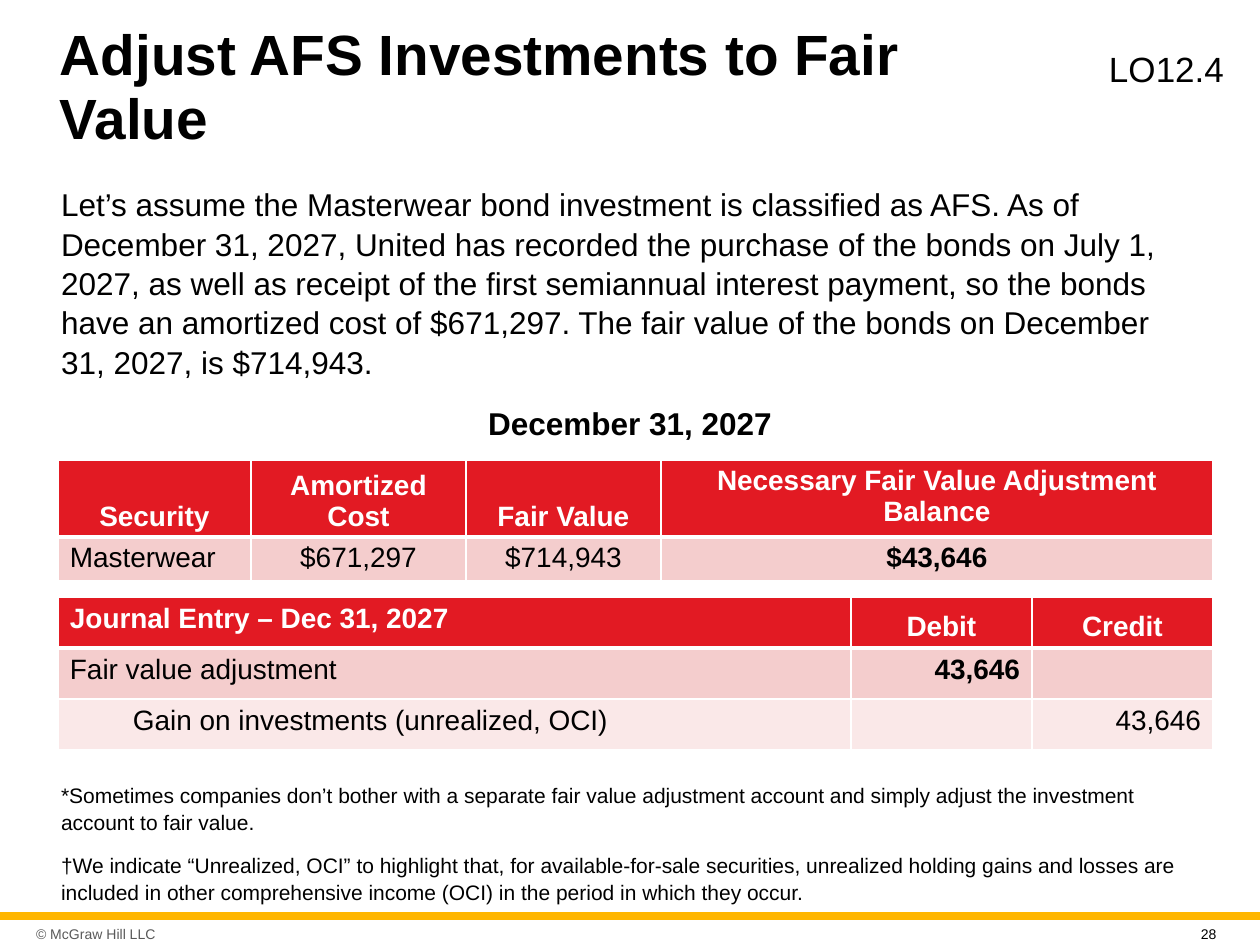
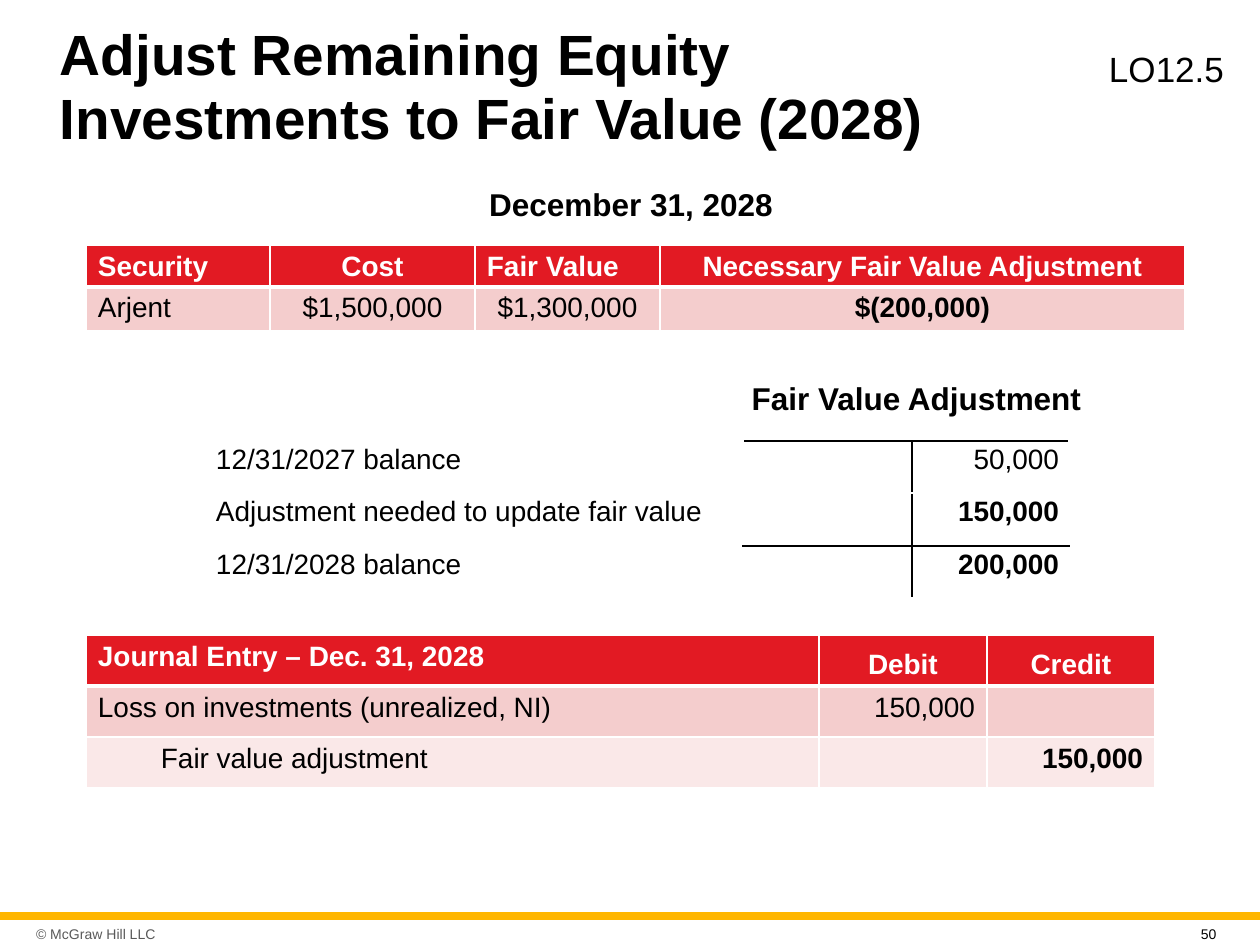
from lxml.etree import SubElement
from pptx import Presentation
from pptx.dml.color import RGBColor
from pptx.enum.shapes import MSO_SHAPE
from pptx.enum.text import MSO_ANCHOR, MSO_AUTO_SIZE, PP_ALIGN
from pptx.oxml.ns import qn
from pptx.util import Emu, Pt

PX = 914400 / 126
COLORS = {
    "text": "000000", "gray": "595959", "white": "FFFFFF", "gold": "FFB600",
    "red": "E21A23", "rose": "F4CDCD", "blush": "FAE8E8",
}
LEFT, CENTER, RIGHT = PP_ALIGN.LEFT, PP_ALIGN.CENTER, PP_ALIGN.RIGHT
TOP, MIDDLE, BOTTOM = MSO_ANCHOR.TOP, MSO_ANCHOR.MIDDLE, MSO_ANCHOR.BOTTOM
INDENT = 63


def write(frame, lines, size, bold=False, color="text", align=LEFT, spacing=1.0, indent=0):
    """Fill a text frame with one plain, unbulleted paragraph per line."""
    for number, line in enumerate(lines):
        paragraph = frame.paragraphs[0] if number == 0 else frame.add_paragraph()
        properties = paragraph._p.get_or_add_pPr()
        properties.set("marL", str(round(indent * PX)))
        properties.set("indent", "0")
        SubElement(properties, qn("a:buNone"))
        paragraph_format = {
            "alignment": align, "line_spacing": spacing,
            "space_before": Pt(10 if number else 0),
        }
        for name, value in paragraph_format.items():
            setattr(paragraph, name, value)
        run = paragraph.add_run()
        run.text = line
        for name, value in {"name": "Arial", "size": Pt(size), "bold": bold}.items():
            setattr(run.font, name, value)
        run.font.color.rgb = RGBColor.from_string(COLORS[color])


def add_grid(slide, left, top, widths, heights, rows, fills, pads, ruled_account=False):
    """Add a table; a cell is (text, align, bold, anchor, indent), the last three optional."""
    box = [Emu(round(n * PX)) for n in (left, top, sum(widths), sum(heights))]
    table = slide.shapes.add_table(len(rows), len(widths), *box).table
    table.first_row = table.horz_banding = False
    for column, width in zip(table.columns, widths):
        column.width = Emu(round(width * PX))
    for r, (row, height, fill) in enumerate(zip(rows, heights, fills)):
        table.rows[r].height = Emu(round(height * PX))
        for c, (text, align, bold, anchor, indent) in enumerate(
                (*entry, *(False, TOP, 0)[len(entry) - 2:]) for entry in row):
            cell = table.cell(r, c)
            for side, pad in zip(("left", "right", "top", "bottom"), (pads[0], pads[0], pads[1], pads[1])):
                setattr(cell, f"margin_{side}", Emu(round(pad * PX)))
            cell.vertical_anchor = anchor
            if text:
                color = "white" if fill == "red" else "text"
                write(cell.text_frame, [text], 16, bold, color, align, indent=indent)

            if ruled_account:
                black = {"lnL": c == 2, "lnR": c == 1, "lnT": c > 0 and r != 1, "lnB": c > 0 and r == 1}
                edges = {tag: ("text" if on else "white", 1) for tag, on in black.items() if on}
            else:
                edges = {tag: ("white", 1) for tag in ("lnL", "lnR", "lnT", "lnB")}
                if r < 2:
                    edges["lnT" if r else "lnB"] = ("white", 3)
            properties = cell._tc.get_or_add_tcPr()
            for tag, (color, points) in edges.items():
                edge = SubElement(properties, qn(f"a:{tag}"), w=str(Pt(points)))
                paint = SubElement(edge, qn("a:solidFill"))
                SubElement(paint, qn("a:srgbClr"), val=COLORS[color])
            cell.fill.solid()
            cell.fill.fore_color.rgb = RGBColor.from_string(COLORS[fill])


lessons = [
    {
        "title": "Adjust AFS Investments to Fair Value",
        "objective": "LO12.4",
        "page": "28",
        "body": ((48, 178, 1166, 204), {"size": 18, "spacing": 1.04}, [
            "Let’s assume the Masterwear bond investment is classified as AFS. As of December 31, "
            "2027, United has recorded the purchase of the bonds on July 1, 2027, as well as receipt "
            "of the first semiannual interest payment, so the bonds have an amortized cost of "
            "$671,297. The fair value of the bonds on December 31, 2027, is $714,943."]),
        "captions": [
            ((470, 397, 320, 53), {"size": 18, "bold": True, "align": CENTER, "spacing": 1.04},
             ["December 31, 2027"]),
            ((48, 776, 1166, 129), {"size": 12, "spacing": 1.04}, [
                "*Sometimes companies don’t bother with a separate fair value adjustment account and "
                "simply adjust the investment account to fair value.",
                "†We indicate “Unrealized, OCI” to highlight that, for available-for-sale securities, "
                "unrealized holding gains and losses are included in other comprehensive income (OCI) "
                "in the period in which they occur."]),
        ],
        "valuation": ((58, 460), (193, 215, 195, 552), (77, 44), [
            [("Security", CENTER, True, BOTTOM), ("Amortized Cost", CENTER, True, BOTTOM),
             ("Fair Value", CENTER, True, BOTTOM),
             ("Necessary Fair Value Adjustment Balance", CENTER, True)],
            [("Masterwear", LEFT), ("$671,297", CENTER), ("$714,943", CENTER),
             ("$43,646", CENTER, True)],
        ]),
        "journal": ((58, 597), (793, 181, 181), "Journal Entry – Dec 31, 2027", [
            [("Fair value adjustment", LEFT), ("43,646", RIGHT, True), ("", RIGHT)],
            [("Gain on investments (unrealized, OCI)", LEFT, False, TOP, INDENT),
             ("", RIGHT), ("43,646", RIGHT)],
        ]),
        "account": [],
    },
    {
        "title": "Adjust Remaining Equity Investments to Fair Value (2028)",
        "objective": "LO12.5",
        "page": "50",
        "body": ((48, 178, 1166, 50), {"size": 18, "bold": True, "align": CENTER, "spacing": 1.04},
                 ["December 31, 2028"]),
        "captions": [
            ((738, 372, 357, 54), {"size": 18, "bold": True, "align": CENTER, "spacing": 1.04},
             ["Fair Value Adjustment"]),
        ],
        "valuation": ((86, 245), (184, 205, 185, 525), (42, 44), [
            [("Security", LEFT, True, BOTTOM), ("Cost", CENTER, True, BOTTOM),
             ("Fair Value", LEFT, True, BOTTOM),
             ("Necessary Fair Value Adjustment", CENTER, True, BOTTOM)],
            [("Arjent", LEFT), ("$1,500,000", CENTER), ("$1,300,000", CENTER),
             ("$(200,000)", CENTER, True)],
        ]),
        "journal": ((86, 635), (733, 168, 168), "Journal Entry – Dec. 31, 2028", [
            [("Loss on investments (unrealized, NI)", LEFT), ("150,000", RIGHT), ("", RIGHT)],
            [("Fair value adjustment", LEFT, False, TOP, INDENT), ("", RIGHT),
             ("150,000", RIGHT, True)],
        ]),
        "account": [
            [("12/31/2027 balance", LEFT), ("", RIGHT), ("50,000", RIGHT)],
            [("Adjustment needed to update fair value", LEFT), ("", RIGHT), ("150,000", RIGHT, True)],
            [("12/31/2028 balance", LEFT), ("", RIGHT), ("200,000", RIGHT, True)],
        ],
    },
]

deck = Presentation()
deck.slide_width, deck.slide_height = Emu(round(1260 * PX)), Emu(round(945 * PX))

for lesson in lessons:
    slide = deck.slides.add_slide(deck.slide_layouts[1])

    band = slide.shapes.add_shape(
        MSO_SHAPE.RECTANGLE, 0, Emu(round(912 * PX)), deck.slide_width, Emu(round(8 * PX)))
    band.shadow.inherit = False
    band.fill.solid()
    band.fill.fore_color.rgb = RGBColor.from_string(COLORS["gold"])
    band.line.fill.background()

    texts = [
        (slide.shapes.title, (47, 26, 995, 125), {"size": 32.4, "bold": True, "spacing": 0.94},
         [lesson["title"]], 13, MIDDLE),
        (slide.placeholders[1], *lesson["body"], 13, TOP),
        (None, (1096, 40, 144, 52), {"size": 20, "spacing": 1.04}, [lesson["objective"]], 13, TOP),
        *((None, *caption, 13, TOP) for caption in lesson["captions"]),
        (None, (30, 919, 170, 30), {"size": 8, "color": "gray"}, ["© McGraw Hill LLC"], 6, MIDDLE),
        (None, (1188, 920, 49, 23), {"size": 8}, [lesson["page"]], 13, TOP),
    ]
    for holder, box, style, lines, side_pad, anchor in texts:
        holder = holder or slide.shapes.add_textbox(0, 0, 0, 0)
        for name, length in zip(("left", "top", "width", "height"), box):
            setattr(holder, name, Emu(round(length * PX)))
        frame_format = {
            "word_wrap": True, "auto_size": MSO_AUTO_SIZE.NONE, "vertical_anchor": anchor,
            "margin_left": Emu(round(side_pad * PX)), "margin_right": Emu(round(side_pad * PX)),
            "margin_top": Emu(round(6 * PX)), "margin_bottom": Emu(round(6 * PX)),
        }
        for name, value in frame_format.items():
            setattr(holder.text_frame, name, value)
        write(holder.text_frame, lines, **style)

    corner, widths, heights, rows = lesson["valuation"]
    add_grid(slide, *corner, widths, heights, rows, ("red", "rose"), (12, 5))

    if lesson["account"]:
        add_grid(slide, 206, 441, (537, 169, 157), (52, 53, 52), lesson["account"],
                 ["white"] * 3, (10, 3), ruled_account=True)

    corner, widths, heading, entries = lesson["journal"]
    headings = [(heading, LEFT, True), ("Debit", CENTER, True, BOTTOM), ("Credit", CENTER, True, BOTTOM)]
    add_grid(slide, *corner, widths, [51] * 3, [headings, *entries], ("red", "rose", "blush"), (12, 6))

deck.save("out.pptx")
